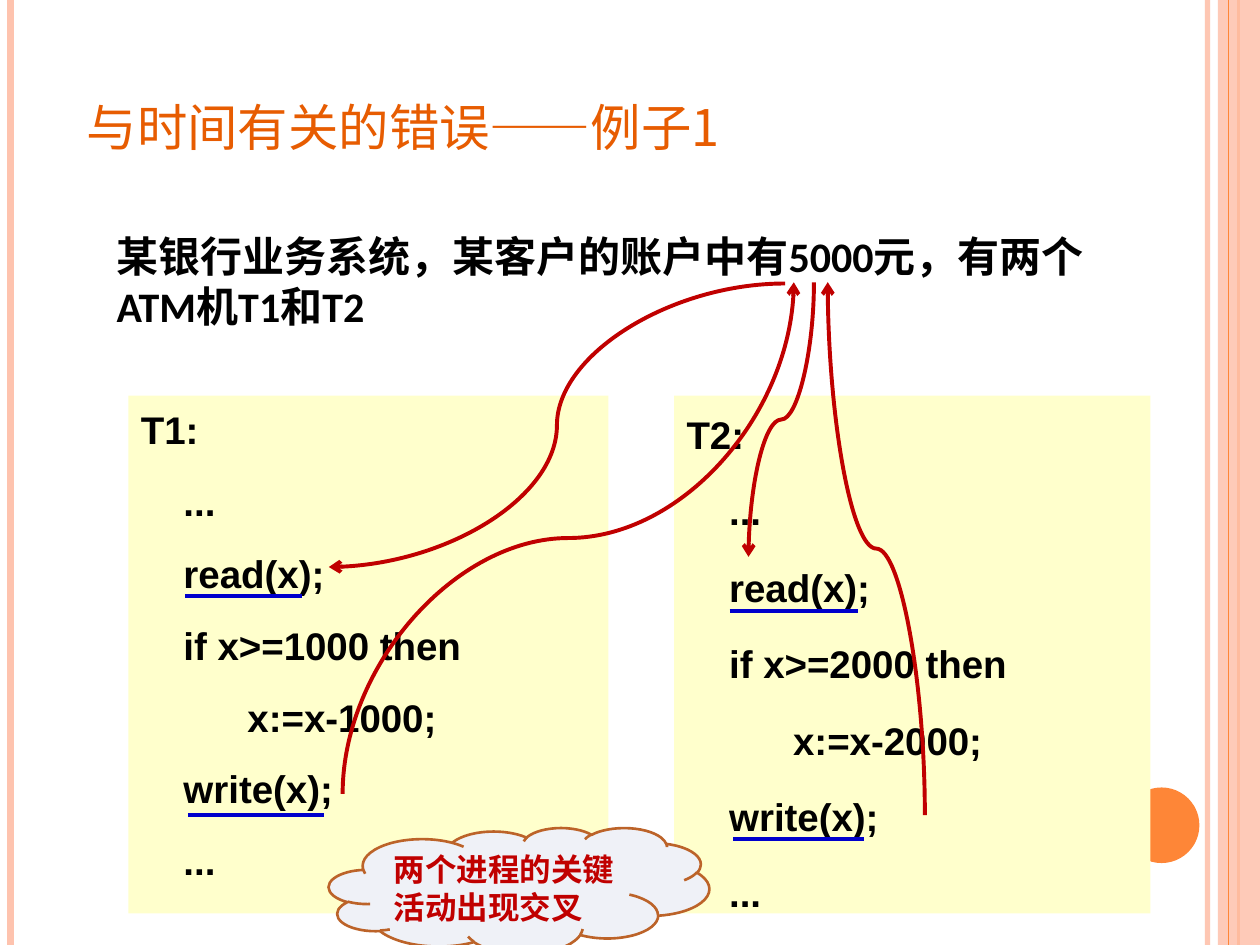
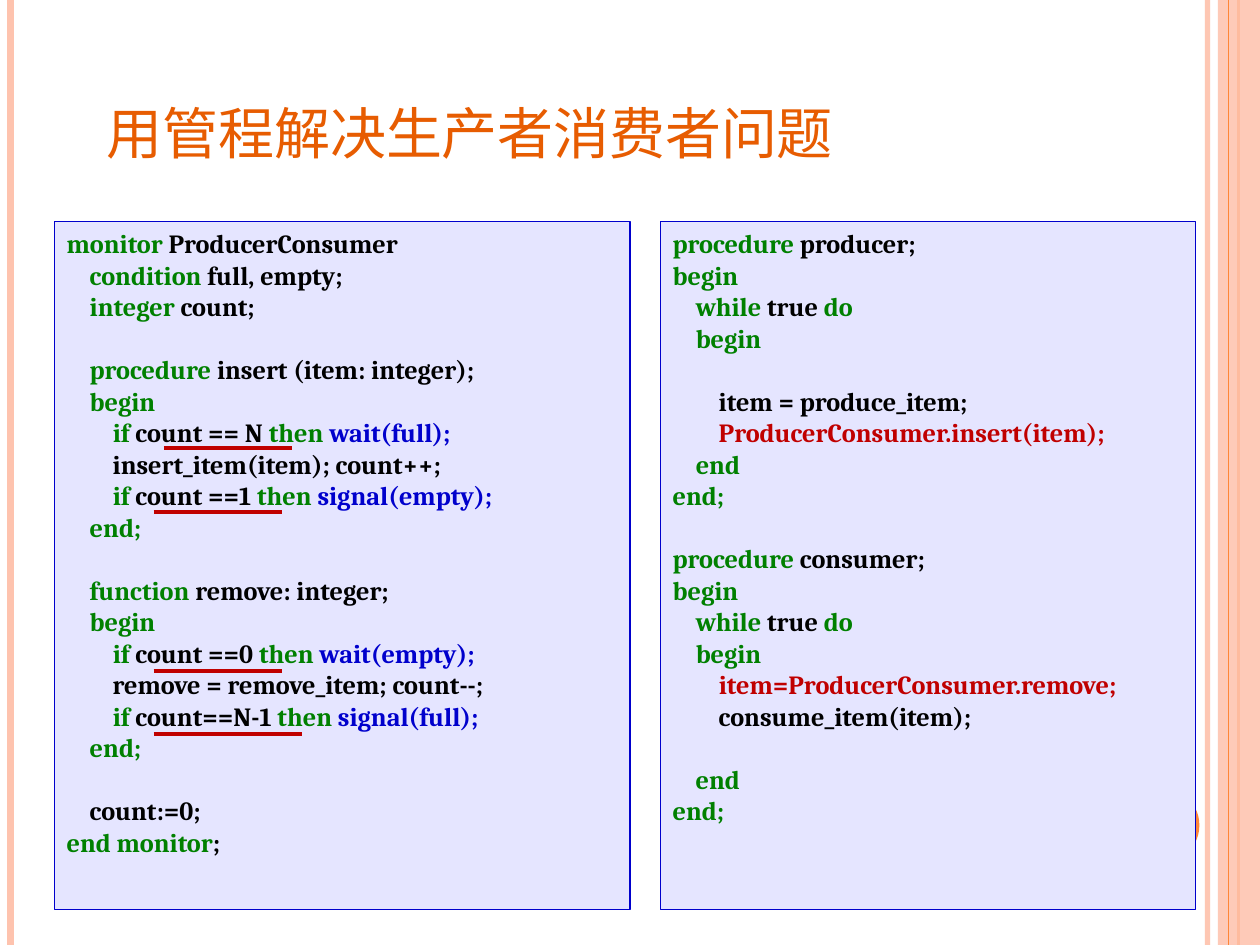
from lxml.etree import SubElement
from pptx import Presentation
from pptx.dml.color import RGBColor
from pptx.enum.shapes import MSO_CONNECTOR, MSO_SHAPE
from pptx.enum.text import MSO_ANCHOR, PP_ALIGN
from pptx.oxml.ns import qn
from pptx.util import Pt

COLORS = {
    "black": "000000", "title": "E75C01", "pink": "FEC3AE", "orange": "FE8637",
    "yellow": "FFFFCC", "lavender": "E5E5FF", "blue": "0000CC", "red": "C00000",
    "green": "008000", "cloud": "EFF1F7", "cloud_edge": "BC6329",
}
WIDTH, HEIGHT = 720, 540
CJK_FONT = "Noto Sans CJK SC"
BLANK_LINE = 18
# The first character of a code segment picks its colour; others are black.
MARKS = {"*": "green", "^": "blue", "!": "red"}

MONITOR = [
    "*monitor |ProducerConsumer",
    "    |*condition| full, empty;",
    "    |*integer| count;",
    "",
    "*    procedure |insert (item: integer);",
    "    |*begin",
    "        |*if| count == N |*then |^wait(full);",
    "        insert_item(item); count++;",
    "        |*if| count ==1 |*then |^signal(empty);",
    "    |*end;",
    "",
    "*    function |remove: integer;",
    "    |*begin",
    "        |*if| count ==0 |*then |^wait(empty);",
    "        remove = remove_item; count--;",
    "        |*if |count==N-1 |*then |^signal(full);",
    "    |*end;",
    "",
    "    count:=0;",
    "*end monitor|;",
]
PROCEDURES = [
    "*procedure| producer;",
    "*begin",
    "    |*while| true |*do",
    "    |*begin",
    "",
    "        item = produce_item;",
    "!        ProducerConsumer.insert(item);",
    "    |*end",
    "*end;",
    "",
    "*procedure |consumer;",
    "*begin",
    "    |*while| true |*do",
    "    |*begin",
    "        |!item=ProducerConsumer.remove;",
    "        consume_item(item);",
    "",
    "*    end",
    "*end;",
]


def rgb(name):
    return RGBColor.from_string(COLORS[name])


def style_font(font, name, size, color, bold=True):
    font.name, font.size, font.bold = name, Pt(size), bold
    font.color.rgb = rgb(color)


def set_alpha(part, percent):
    """Make the first solid colour of a shape or connector see-through."""
    color = next(part._element.spPr.iter(qn("a:srgbClr")))
    SubElement(color, qn("a:alpha"), val=str(percent * 1000))


def add_panel(page, box, fill, edge=None, edge_width=0.75, kind=MSO_SHAPE.RECTANGLE):
    panel = page.shapes.add_shape(kind, *map(Pt, box))
    panel.shadow.inherit = False
    panel.fill.solid()
    panel.fill.fore_color.rgb = rgb(fill)
    if edge:
        panel.line.color.rgb = rgb(edge)
        panel.line.width = Pt(edge_width)
    else:
        panel.line.fill.background()
    panel.text_frame.word_wrap = True
    panel.text_frame.vertical_anchor = MSO_ANCHOR.TOP
    return panel


def add_line(page, start, end, color, width, kind=MSO_CONNECTOR.STRAIGHT):
    line = page.shapes.add_connector(kind, *map(Pt, (*start, *end)))
    line.line.color.rgb = rgb(color)
    line.line.width = Pt(width)
    SubElement(line._element.spPr, qn("a:effectLst"))
    return line


def add_curved_arrow(page, start, end, vertical=True):
    """Draw an S-curve arrow; a vertical one is a level curve turned a quarter."""
    (x1, y1), (x2, y2) = start, end
    if vertical:
        mid_x, mid_y = (x1 + x2) / 2, (y1 + y2) / 2
        reach = abs(y2 - y1) / 2
        side = abs(x2 - x1) / 2
        if (x2 - x1) * (y2 - y1) > 0:
            side = -side
        start, end = (mid_x - reach, mid_y - side), (mid_x + reach, mid_y + side)
    arrow = add_line(page, start, end, "red", 2.25, MSO_CONNECTOR.CURVE)
    if vertical:
        turn = 90 if y2 > y1 else 270
        arrow._element.spPr.find(qn("a:xfrm")).set("rot", str(turn * 60000))
    outline = arrow._element.spPr.find(qn("a:ln"))
    SubElement(outline, qn("a:tailEnd"), type="arrow")


def add_underlines(page, box, marks, color):
    """Each mark is (left, top, length) inside the box."""
    for left, top, length in marks:
        x, y = box[0] + left, box[1] + top
        add_line(page, (x, y), (x + length, y), color, 2.25)


def add_text(page, box, text, font, size, color, bold=True):
    holder = page.shapes.add_textbox(*map(Pt, box))
    frame = holder.text_frame
    frame.word_wrap = True
    frame.text = text
    style_font(frame.paragraphs[0].runs[0].font, font, size, color, bold)
    return frame


def add_title(page, box, text, size):
    frame = add_text(page, box, text, CJK_FONT, size, "title", bold=False)
    frame.vertical_anchor = MSO_ANCHOR.BOTTOM
    span = frame.paragraphs[0].runs[0]
    span._r.get_or_add_rPr().set("cap", "small")


def add_frame(page):
    """Draw the side bands and the corner dot that all pages share."""
    inner = add_line(page, (690, 0), (690, HEIGHT), "pink", 3)
    set_alpha(inner, 93)
    add_line(page, (6, 0), (6, HEIGHT), "pink", 4.5)
    add_line(page, (707.8, 0), (707.8, HEIGHT), "orange", 1.5)
    band = add_panel(page, (696, 0, WIDTH - 696, HEIGHT), "pink")
    set_alpha(band, 87)
    add_line(page, (702, 0), (702, HEIGHT), "orange", 0.75)
    add_panel(page, (642.2, 450, 43.2, 43.2), "orange", kind=MSO_SHAPE.OVAL)


def add_machine(page, box, name, amount, spacing, underlines):
    """Show the program of one cash machine."""
    panel = add_panel(page, box, "yellow")
    lines = [f"{name}:", "    ...", "    read(x);", f"    if x>={amount} then",
             f"          x:=x-{amount};", "    write(x);", "    ..."]
    frame = panel.text_frame
    frame.text = "\n".join(lines)
    for index, para in enumerate(frame.paragraphs):
        para.alignment = PP_ALIGN.LEFT
        para.line_spacing = spacing
        para.space_before = Pt(12 if index else 0)
        style_font(para.runs[0].font, "Arial", 22, "black")
    add_underlines(page, box, underlines, "blue")


def add_code(page, box, lines):
    """Show marked code; an empty line becomes space before the next one."""
    frame = add_panel(page, box, "lavender", "blue").text_frame
    para, gap = frame.paragraphs[0], 0
    for index, line in enumerate(lines):
        if not line:
            gap += BLANK_LINE
            continue
        if index:
            para = frame.add_paragraph()
        para.alignment = PP_ALIGN.LEFT
        para.space_before = Pt(gap)
        gap = 0
        for segment in line.split("|"):
            color = MARKS.get(segment[0], "black")
            span = para.add_run()
            span.text = segment if color == "black" else segment[1:]
            style_font(span.font, "Cambria", 15, color)


def add_cloud(page, box, text):
    cloud = add_panel(page, box, "cloud", "cloud_edge", 1.5, MSO_SHAPE.CLOUD)
    frame = cloud.text_frame
    frame.vertical_anchor = MSO_ANCHOR.MIDDLE
    frame.text = text
    para = frame.paragraphs[0]
    para.alignment = PP_ALIGN.LEFT
    para.line_spacing = Pt(21.6)
    style_font(para.runs[0].font, CJK_FONT, 18, "red")


def new_page(deck):
    page = deck.slides.add_slide(deck.slide_layouts[6])
    add_frame(page)
    return page


def build_race_page(deck):
    page = new_page(deck)
    add_machine(page, (385.2, 226.1, 272.2, 295.9), "T2", 2000, 1.2,
                [(31.7, 123.1, 73.4), (33.8, 253.4, 74.9)])
    add_machine(page, (73.4, 226.1, 274.3, 295.9), "T1", 1000, 1.1,
                [(32.4, 114.5, 67), (33.9, 239.7, 77.8)])
    add_title(page, (42.5, 36.7, 570.2, 57.6), "与时间有关的错误——例子1", 36)
    add_text(page, (59.5, 128.2, 591.8, 65.5),
             "某银行业务系统，某客户的账户中有5000元，有两个ATM机T1和T2",
             "Calibri", 24, "black")
    add_curved_arrow(page, (465.1, 161.3), (427.7, 318.2))
    add_curved_arrow(page, (448.6, 162), (187.9, 324), vertical=False)
    add_curved_arrow(page, (195.8, 453.6), (453.6, 161.3))
    add_curved_arrow(page, (528.5, 465.8), (473, 161.3))
    add_cloud(page, (187.9, 473, 217.4, 72), "两个进程的关键活动出现交叉")


def build_monitor_page(deck):
    page = new_page(deck)
    monitor_box = (31, 126.5, 329, 393.1)
    add_code(page, (377.3, 126.5, 306, 393.1), PROCEDURES)
    add_code(page, monitor_box, MONITOR)
    add_title(page, (54, 27, 648, 72.7), "用管程解决生产者消费者问题", 40)
    add_underlines(page, monitor_box,
                   [(62.6, 129.3, 73.4), (56.8, 166, 73.4),
                    (56.8, 256.7, 73.4), (56.8, 293.1, 85)], "red")


def main():
    deck = Presentation()
    deck.slide_width, deck.slide_height = Pt(WIDTH), Pt(HEIGHT)
    build_race_page(deck)
    build_monitor_page(deck)
    deck.save("out.pptx")


if __name__ == "__main__":
    main()
